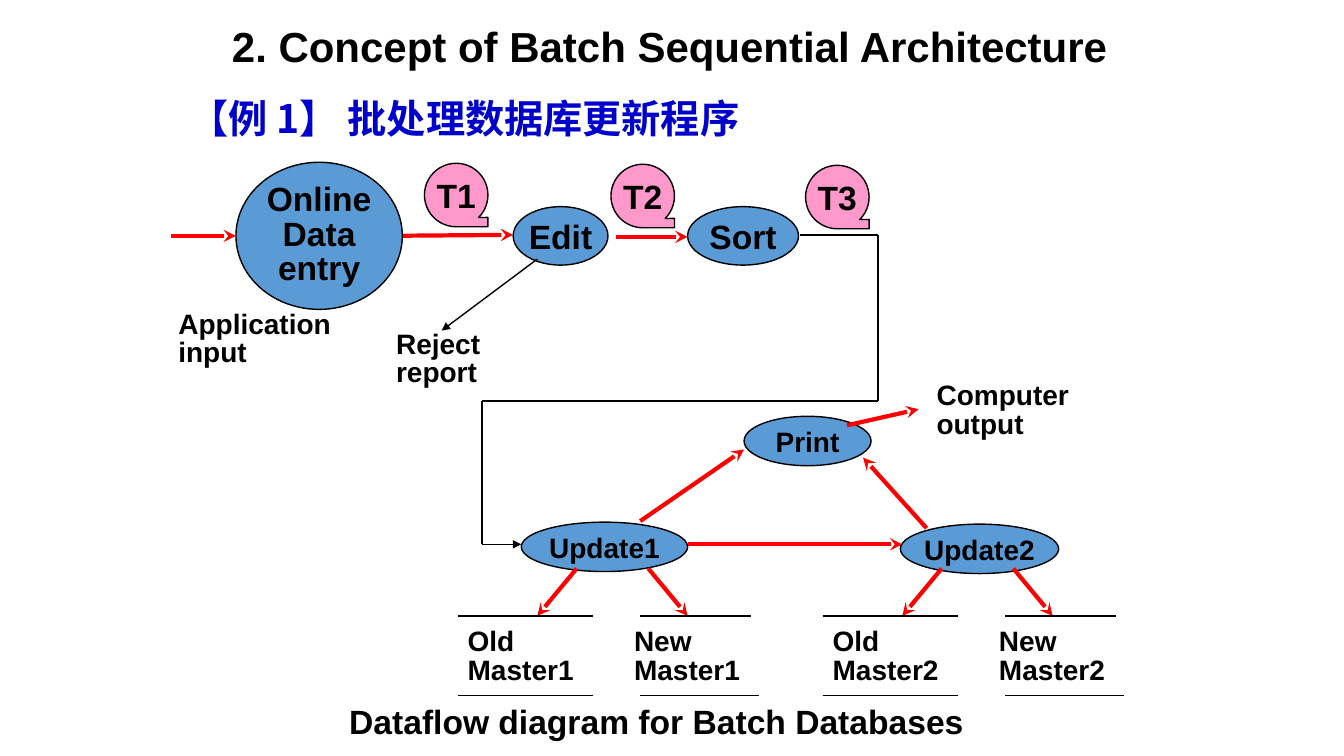
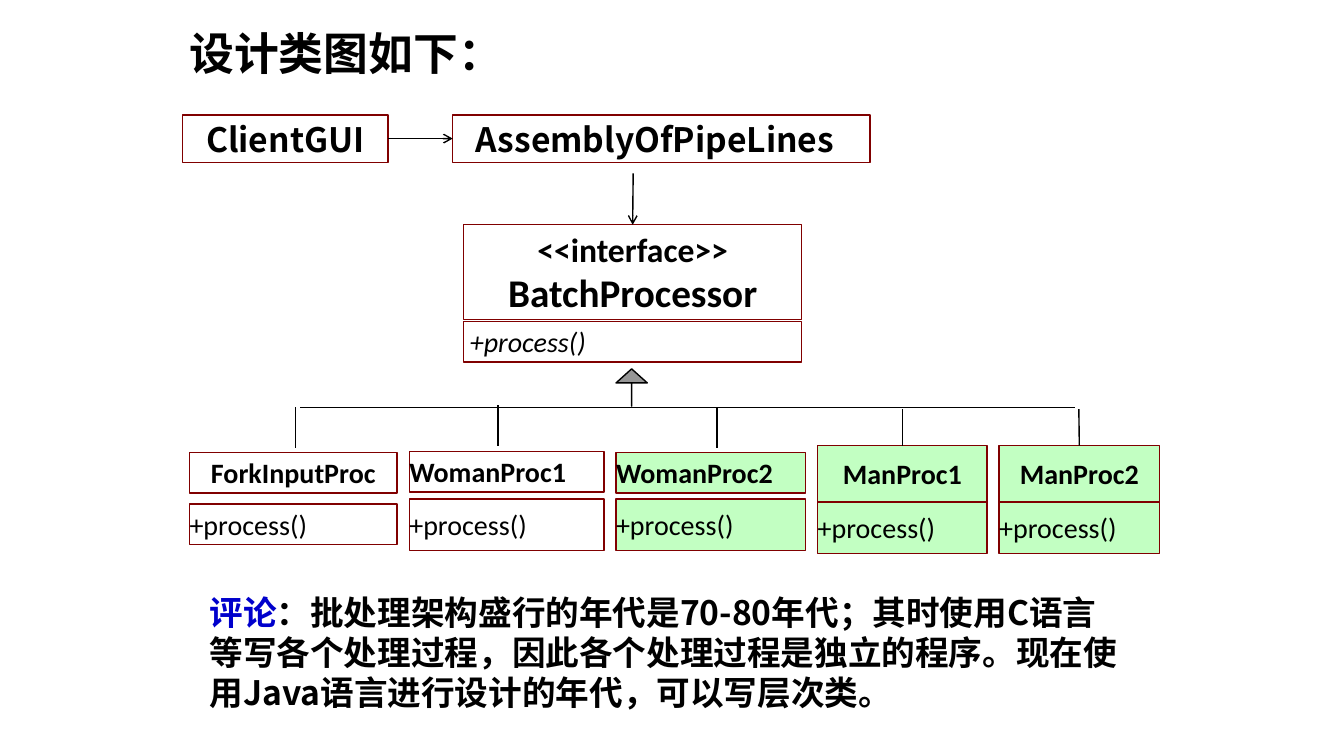
from lxml import etree
from pptx import Presentation
from pptx.dml.color import RGBColor
from pptx.enum.shapes import MSO_CONNECTOR, MSO_SHAPE
from pptx.enum.text import MSO_ANCHOR, PP_ALIGN
from pptx.oxml.ns import qn
from pptx.util import Inches, Pt

OVAL = MSO_SHAPE.OVAL
RECT = MSO_SHAPE.RECTANGLE
TAPE = MSO_SHAPE.FLOWCHART_SEQUENTIAL_ACCESS_STORAGE
UP_ARROW = MSO_SHAPE.UP_ARROW
STRAIGHT = MSO_CONNECTOR.STRAIGHT
CENTER, LEFT = PP_ALIGN.CENTER, PP_ALIGN.LEFT
MIDDLE, TOP = MSO_ANCHOR.MIDDLE, MSO_ANCHOR.TOP
TOP_SIDE, LEFT_SIDE, RIGHT_SIDE = 0, 1, 3


class Theme:
    black, white, red, blue = "000000", "FFFFFF", "FF0000", "0000CC"
    process, tape, maroon, green, gray = "5B9BD5", "FF99CC", "800000", "00FF00", "969696"
    latin, body, cjk = "Arial", "Calibri", "Noto Sans CJK SC"
    heading, title, subtitle, large, label = 32, 30, 28, 24, 20
    thin, thick = 1, 3
    tint = 24000
    tight = 0.85


def block(slide, box, content="", preset=None, fill=None, edge=Theme.black, alpha=None,
          align=CENTER, anchor=MIDDLE, insets=(0, 0, 0, 0), wrap=True, spacing=None, **font):
    box = [Inches(value) for value in box]
    if preset is None:
        shape = slide.shapes.add_textbox(*box)
    else:
        shape = slide.shapes.add_shape(preset, *box)
        shape.shadow.inherit = False
        shape.line.color.rgb = RGBColor.from_string(edge)
        shape.line.width = Pt(Theme.thin)
        if fill:
            shape.fill.solid()
            shape.fill.fore_color.rgb = RGBColor.from_string(fill)
        else:
            shape.fill.background()
        if alpha:
            tone = shape._element.spPr.find(qn("a:solidFill"))[0]
            etree.SubElement(tone, qn("a:alpha"), val=str(alpha))
    frame = shape.text_frame
    sides = ("margin_left", "margin_top", "margin_right", "margin_bottom")
    frame_format = dict(zip(sides, map(Inches, insets)), word_wrap=wrap, vertical_anchor=anchor)
    for name, value in frame_format.items():
        setattr(frame, name, value)
    if isinstance(content, str):
        content = [[(line, {})] for line in content.split("\n")]
    for index, pieces in enumerate(content):
        paragraph = frame.add_paragraph() if index else frame.paragraphs[0]
        paragraph.alignment = align
        paragraph.line_spacing = spacing
        for words, changes in pieces:
            run = paragraph.add_run()
            run.text = words
            look = {"name": Theme.latin, "size": Theme.label, "bold": True,
                    "color": Theme.black, **font, **changes}
            run.font.color.rgb = RGBColor.from_string(look.pop("color"))
            look["size"] = Pt(look["size"])
            for name, value in look.items():
                setattr(run.font, name, value)
            etree.SubElement(run._r.get_or_add_rPr(), qn("a:ea"), typeface=look["name"])
    return shape


def link(slide, start, end, color=Theme.black, width=Theme.thin, head=None):
    line = slide.shapes.add_connector(STRAIGHT, *map(Inches, (*start, *end)))
    line.line.color.rgb = RGBColor.from_string(color)
    line.line.width = Pt(width)
    properties = line._element.spPr
    if head:
        etree.SubElement(properties.find(qn("a:ln")), qn("a:tailEnd"), type=head)
    etree.SubElement(properties, qn("a:effectLst"))
    return line


deck = Presentation()
deck.slide_width, deck.slide_height = Inches(13.33), Inches(7.5)
blank = deck.slide_layouts[6]

flow_arrow = {"color": Theme.red, "width": Theme.thick, "head": "stealth"}
label_format = {"align": LEFT, "anchor": TOP, "insets": (0.1, 0.05, 0.1, 0.05)}
flow_label = {**label_format, "spacing": Theme.tight}

dataflow = deck.slides.add_slide(blank)
for start, end in [
    ((1.7, 2.34), (2.34, 2.34)),
    ((3.83, 2.34), (5.09, 2.33)),
    ((6.11, 2.35), (6.82, 2.35)),
    ((6.35, 5.17), (7.38, 4.46)),
]:
    link(dataflow, start, end, **flow_arrow)

for name, box, size, spacing in [
    ("Online\nData\nentry", (2.34, 1.61, 1.65, 1.46), Theme.large, Theme.tight),
    ("Edit", (5.09, 2.05, 0.94, 0.58), Theme.large, None),
    ("Sort", (6.82, 2.05, 1.1, 0.58), Theme.large, None),
    ("Update1", (5.17, 5.18, 1.65, 0.49), Theme.label, None),
    ("Update2", (8.93, 5.2, 1.57, 0.49), Theme.label, None),
    ("Print", (7.38, 4.13, 1.26, 0.49), Theme.label, None),
]:
    block(dataflow, box, name, OVAL, Theme.process, size=size, spacing=spacing)

for start, end in [
    ((6.82, 5.4), (8.95, 5.4)),
    ((9.19, 5.24), (8.56, 4.54)),
    ((8.4, 4.22), (9.11, 4.06)),
]:
    link(dataflow, start, end, **flow_arrow)

sort_route = [(7.93, 2.33), (8.71, 2.33), (8.71, 3.98), (4.78, 3.98), (4.78, 5.4)]
for start, end in zip(sort_route, sort_route[1:]):
    link(dataflow, start, end)
link(dataflow, sort_route[-1], (5.17, 5.4), head="triangle")
link(dataflow, (5.33, 2.57), (4.38, 3.28), head="triangle")

for number, shift in ((1, 0), (2, 3.62)):
    for age, text_left, rule_left, top_right, bottom_right, arrow_from, arrow_to in [
        ("Old", 4.54, 4.54, 5.88, 5.88, 5.72, 5.33),
        ("New", 6.19, 6.35, 7.45, 7.53, 6.43, 6.82),
    ]:
        link(dataflow, (arrow_from + shift, 5.64), (arrow_to + shift, 6.11), **flow_arrow)
        for rule_top, rule_right in ((6.11, top_right), (6.9, bottom_right)):
            link(dataflow, (rule_left + shift, rule_top), (rule_right + shift, rule_top))
        block(dataflow, (text_left + shift, 6.19, 1.34, 0.67),
              f"{age}\nMaster{number}", **flow_label)

for words, box in [
    ("Computer\noutput", (9.19, 3.75, 1.65, 0.67)),
    ("Application input", (1.67, 3.04, 1.73, 0.67)),
    ("Reject\nreport", (3.83, 3.24, 1.1, 0.67)),
]:
    block(dataflow, box, words, **flow_label)

block(dataflow, (1.94, 6.9, 9.14, 0.5), "Dataflow diagram for Batch Databases", size=Theme.large)
block(dataflow, (1.78, 0.89, 6.14, 0.57), "【例 1】 批处理数据库更新程序",
      name=Theme.cjk, size=Theme.subtitle, color=Theme.blue, **label_format)
block(dataflow, (2.02, 0.23, 9.25, 0.53), "2. Concept of Batch Sequential Architecture",
      size=Theme.title, **{**flow_label, "align": CENTER})
for tape, left, top in (("T1", 4.21, 1.62), ("T2", 6.06, 1.63), ("T3", 7.99, 1.64)):
    block(dataflow, (left, top, 0.63, 0.63), tape, TAPE, Theme.tape, wrap=False, size=Theme.large)

classes = deck.slides.add_slide(blank)
class_box = {"preset": RECT, "edge": Theme.maroon, "insets": (0.06, 0.03, 0.06, 0.03)}
method_format = {"align": LEFT, "name": Theme.body, "bold": False}

interface = block(classes, (4.6, 2.23, 3.35, 0.94),
                  [[("<<interface>>", {"size": Theme.large})], [("BatchProcessor", {})]],
                  fill=Theme.white, name=Theme.body, size=Theme.subtitle, **class_box)
block(classes, (4.6, 3.19, 3.35, 0.4), "+process()", fill=Theme.white, italic=True,
      **class_box, **method_format)

link(classes, (2.98, 4.04), (10.66, 4.04))
inheritance = block(classes, (6.11, 3.66, 0.31, 0.37), preset=UP_ARROW, fill=Theme.gray)
inheritance.adjustments[0] = 0
inheritance.adjustments[1] = 0.45

class_box["insets"] = (0, 0.03, 0, 0.03)
for name, left, width, head, body, fill, align, drop in [
    ("ForkInputProc", 1.88, 2.06, (4.49, 0.4), (5, 0.4), None, CENTER, (2.93, 4.04)),
    ("WomanProc1", 4.06, 1.93, (4.48, 0.4), (4.95, 0.51), None, LEFT, (4.94, 4.02)),
    ("WomanProc2", 6.11, 1.88, (4.49, 0.4), (4.95, 0.51), Theme.green, LEFT, (7.11, 4.04)),
    ("ManProc1", 8.11, 1.68, (4.42, 0.56), (4.98, 0.51), Theme.green, CENTER, (8.95, 4.06)),
    ("ManProc2", 9.91, 1.59, (4.42, 0.56), (4.98, 0.51), Theme.green, CENTER, (10.7, 4.06)),
]:
    tint = {"fill": fill, "alpha": Theme.tint if fill else None}
    header = block(classes, (left, head[0], width, head[1]), name, align=align,
                   name=Theme.body, **tint, **class_box)
    block(classes, (left, body[0], width, body[1]), "+process()",
          **tint, **class_box, **method_format)
    branch = link(classes, drop, (drop[0], drop[1] + 0.4))
    if name.startswith("Man"):
        branch.end_connect(header, TOP_SIDE)

caller_format = {"fill": Theme.white, "name": Theme.cjk, "size": Theme.large}
client = block(classes, (1.81, 1.14, 2.04, 0.47), "ClientGUI", **class_box, **caller_format)
class_box["insets"] = (0, 0.03, 0.13, 0.03)
assembly = block(classes, (4.49, 1.14, 4.14, 0.47), "AssemblyOfPipeLines",
                 **class_box, **caller_format)
client_call = link(classes, (3.85, 1.38), (4.49, 1.38), head="arrow")
client_call.begin_connect(client, RIGHT_SIDE)
client_call.end_connect(assembly, LEFT_SIDE)
assembly_call = link(classes, (6.28, 1.72), (6.28, 2.23), head="arrow")
assembly_call.end_connect(interface, TOP_SIDE)

block(classes, (1.78, 0.21, 3.47, 0.64), "设计类图如下：",
      name=Theme.cjk, size=Theme.heading, **label_format)
comment = [
    ("评论", {"color": Theme.blue}),
    ("：批处理架构盛行的年代是70-80年代；其时使用C语言等写各个处理过程，"
     "因此各个处理过程是独立的程序。现在使用Java语言进行设计的年代，可以写层次类。", {}),
]
block(classes, (1.98, 5.82, 9.25, 1.31), [comment],
      name=Theme.cjk, size=Theme.large, **label_format)

deck.save("out.pptx")
